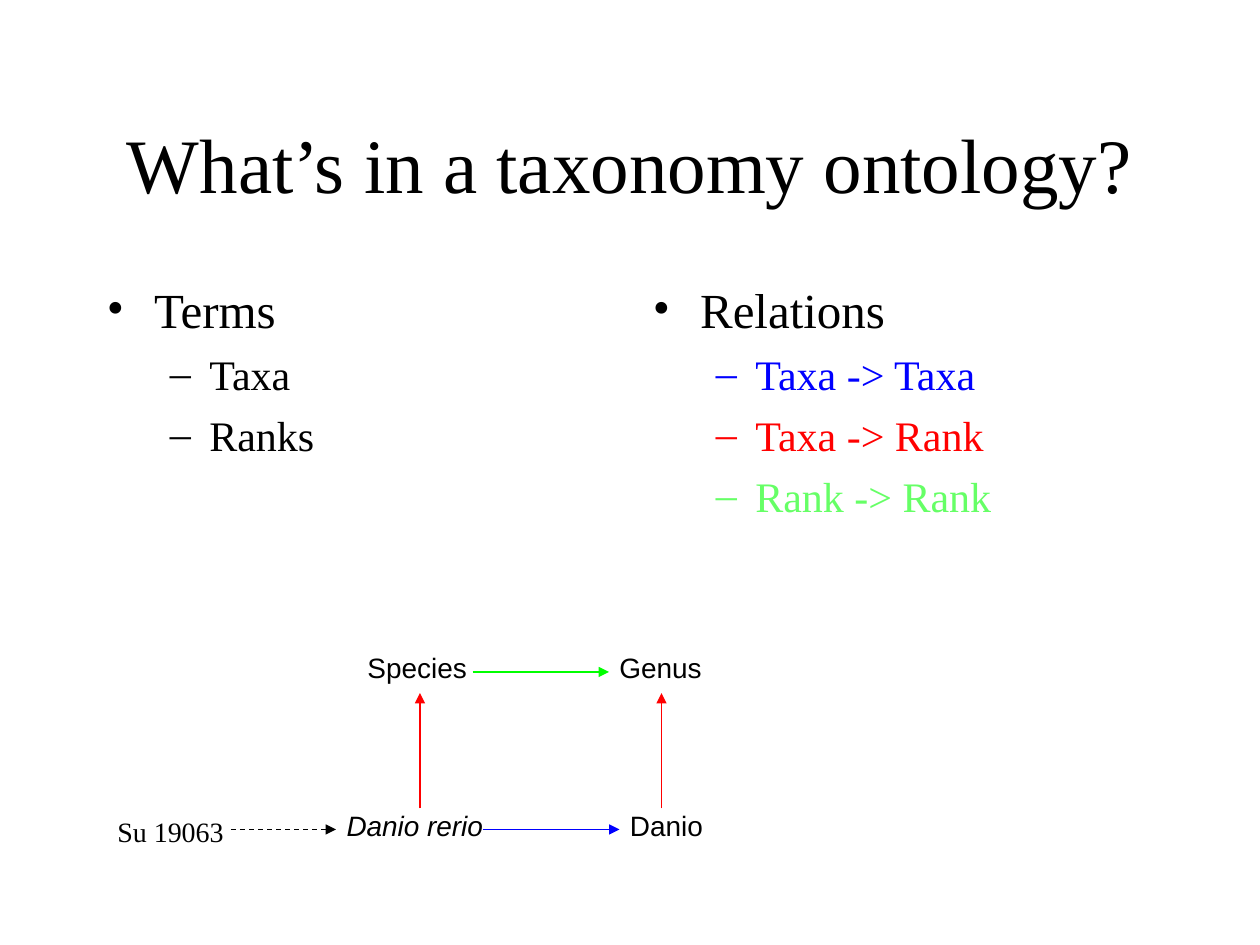
from lxml.etree import SubElement
from pptx import Presentation
from pptx.dml.color import RGBColor
from pptx.enum.dml import MSO_LINE
from pptx.enum.shapes import MSO_CONNECTOR
from pptx.enum.text import MSO_ANCHOR, MSO_AUTO_SIZE, PP_ALIGN
from pptx.oxml.ns import qn
from pptx.util import Pt

SERIF, SANS = "Times New Roman", "Arial"
BLACK, BLUE, RED, GREEN, LIME = "000000", "0000FF", "FF0000", "00FF00", "66FF66"


def color(code):
    return RGBColor.from_string(code)


def style(par, size, face=SERIF, code=BLACK, italic=False):
    for run in par.runs:
        font = run.font
        font.size, font.name, font.italic = Pt(size), face, italic
        font.color.rgb = color(code)


def add_box(slide, left, top, width, height):
    return slide.shapes.add_textbox(Pt(left), Pt(top), Pt(width), Pt(height)).text_frame


def add_title(slide, text, left, top, width, height):
    title = slide.shapes.title
    title.left, title.top, title.width, title.height = map(Pt, (left, top, width, height))
    frame = title.text_frame
    frame.text = text
    frame.word_wrap = True
    frame.auto_size = MSO_AUTO_SIZE.NONE
    frame.vertical_anchor = MSO_ANCHOR.MIDDLE
    par = frame.paragraphs[0]
    par.alignment = PP_ALIGN.CENTER
    style(par, 44)


def add_bullet(par, mark, code, margin, indent):
    props = par._p.get_or_add_pPr()
    props.set("marL", str(Pt(margin)))
    props.set("indent", str(Pt(-indent)))
    fill = SubElement(props, qn("a:buClr"))
    SubElement(fill, qn("a:srgbClr"), val=code)
    SubElement(props, qn("a:buFont"), typeface=SERIF)
    SubElement(props, qn("a:buChar"), char=mark)


def add_list(slide, head, items, left, top, width, height):
    frame = add_box(slide, left, top, width, height)
    frame.word_wrap = True
    frame.text = "\n".join([head] + [text for text, code in items])
    first, *rest = frame.paragraphs
    first.space_before = Pt(7)
    add_bullet(first, "•", BLACK, 27, 27)
    style(first, 28)
    for par, (text, code) in zip(rest, items):
        par.level = 1
        par.space_before = Pt(6)
        add_bullet(par, "–", code, 58.5, 22.5)
        style(par, 24, code=code)


def add_label(slide, text, left, top, width, italic=False):
    frame = add_box(slide, left, top, width, 19.5)
    frame.margin_left = frame.margin_right = frame.margin_top = frame.margin_bottom = 0
    frame.word_wrap = False
    frame.text = text
    style(frame.paragraphs[0], 16, SANS, italic=italic)


def add_arrow(slide, start, end, code, dash=None):
    line = slide.shapes.add_connector(MSO_CONNECTOR.STRAIGHT, *map(Pt, start + end))
    line.line.color.rgb = color(code)
    line.line.width = Pt(0.75)
    if dash:
        line.line.dash_style = dash
    SubElement(line.line._get_or_add_ln(), qn("a:tailEnd"), type="triangle")
    SubElement(line._element.spPr, qn("a:effectLst"))


def add_graph(slide, left, top):
    base = top + 90
    add_label(slide, "Danio rerio", left + 138, base, 78.5, italic=True)
    add_label(slide, "Danio", left + 300, base, 42)
    add_label(slide, "Species", left + 150, top, 57)
    add_label(slide, "Genus", left + 294, top, 47)
    for x in (left + 318, left + 180):
        add_arrow(slide, (x, base), (x, top + 24), RED)
    frame = add_box(slide, left, base, 78, 26.5)
    frame.word_wrap = True
    frame.text = "Su 19063"
    style(frame.paragraphs[0], 16)
    for x, y, span, code, dash in (
        (210, top + 12, 78, GREEN, None),
        (72, base + 12, 60, BLACK, MSO_LINE.DASH),
        (216, base + 12, 78, BLUE, None),
    ):
        add_arrow(slide, (left + x, y), (left + x + span, y), code, dash)


def main():
    deck = Presentation()
    deck.slide_width, deck.slide_height = Pt(720), Pt(540)
    slide = deck.slides.add_slide(deck.slide_layouts[5])
    add_title(slide, "What’s in a taxonomy ontology?", 54, 48, 612, 90)
    terms = [("Taxa", BLACK), ("Ranks", BLACK)]
    links = [("Taxa -> Taxa", BLUE), ("Taxa -> Rank", RED), ("Rank -> Rank", LIME)]
    add_list(slide, "Terms", terms, 54, 156, 300, 324)
    add_list(slide, "Relations", links, 366, 156, 300, 324)
    add_graph(slide, 60, 372)
    deck.save("out.pptx")


if __name__ == "__main__":
    main()
